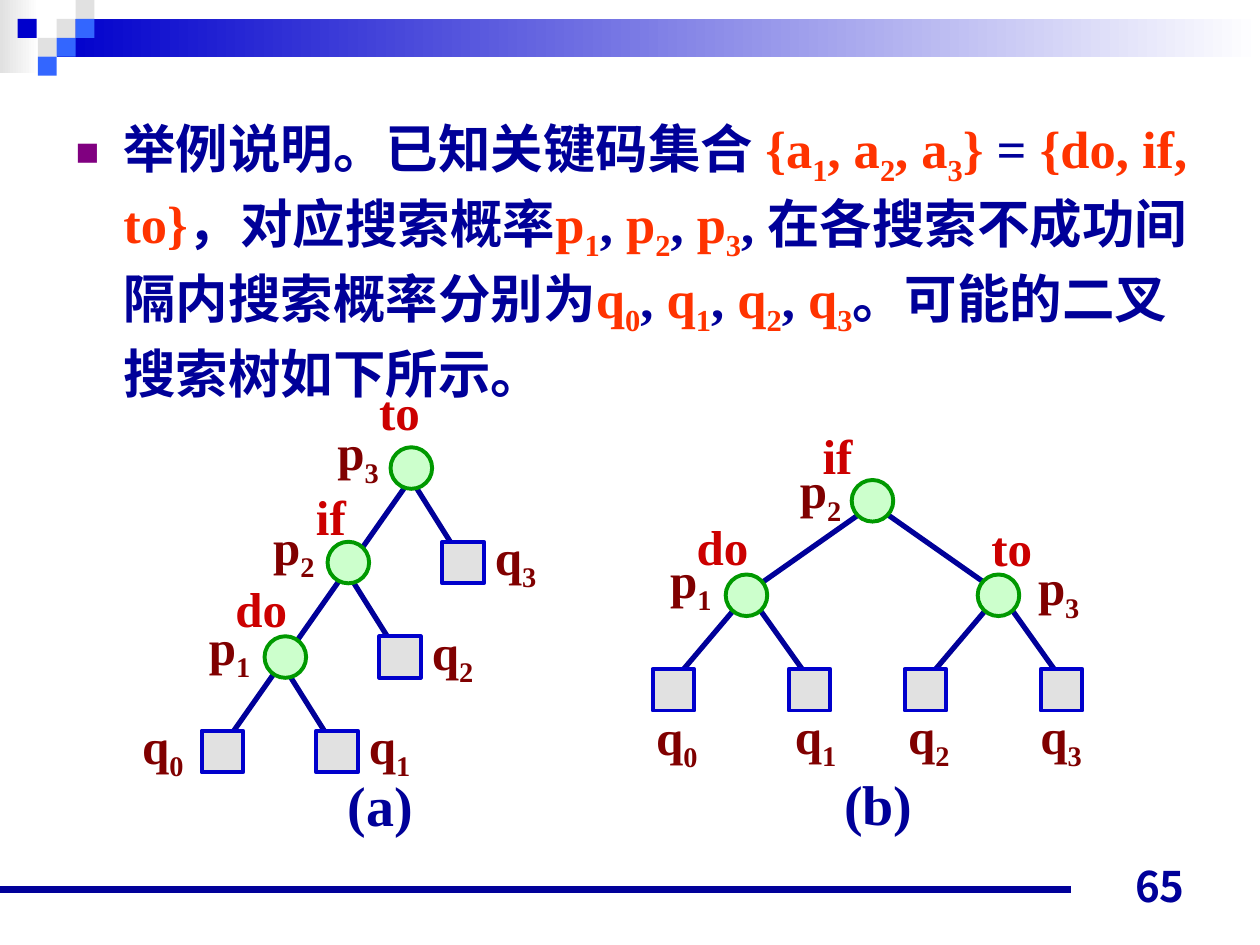
"""Build the slide on binary search trees with unequal search probabilities."""
import dataclasses

import pptx
import pptx.dml.color
import pptx.enum.shapes
import pptx.enum.text
import pptx.oxml
import pptx.oxml.ns
import pptx.util
from pptx.util import Inches

SERIF, SANS = "Times New Roman", "Noto Sans CJK JP"
NAVY, ORANGE, RED, MAROON = "000099", "FF3300", "CC0000", "800000"
BLUE, SKY, GREY, WHITE = "0000CC", "3366FF", "E1E1E1", "FFFFFF"
NODE_SIZE = 0.33
RECT = pptx.enum.shapes.MSO_SHAPE.RECTANGLE
OVAL = pptx.enum.shapes.MSO_SHAPE.OVAL


@dataclasses.dataclass
class Edge:
    x1: float
    y1: float
    x2: float
    y2: float
    width: float = 3


@dataclasses.dataclass
class Block:
    left: float
    top: float
    width: float
    height: float
    fill: str
    fade: bool = False


@dataclasses.dataclass
class Node:
    left: float
    top: float
    internal: bool = False


@dataclasses.dataclass
class Label:
    text: str
    left: float
    top: float
    width: float = 0.53
    height: float = 0.63
    color: str = MAROON
    size: float = 28


def rgb(color: str) -> pptx.dml.color.RGBColor:
    return pptx.dml.color.RGBColor.from_string(color)


def add_xml(parent, markup: str) -> None:
    namespace = pptx.oxml.ns.nsdecls("a")
    parent.append(pptx.oxml.parse_xml(markup.replace("/>", f" {namespace}/>")))


def write(paragraph, text: str, *, size: float, color: str, font: str = SERIF) -> None:
    """Add bold runs; the character after each underscore is a subscript."""
    first, *rest = text.split("_")
    pieces = [(first, False)]
    for part in rest:
        pieces += [(part[0], True), (part[1:], False)]
    for piece, subscript in pieces:
        if not piece:
            continue
        run = paragraph.add_run()
        run.text = piece
        run.font.size = pptx.util.Pt(size)
        run.font.bold = True
        run.font.name = font
        run.font.color.rgb = rgb(color)
        properties = run.font._element
        add_xml(properties, f'<a:ea typeface="{SANS}"/>')
        if subscript:
            properties.set("baseline", "-25000")


def draw_edge(slide, edge: Edge) -> None:
    line = slide.shapes.add_connector(
        pptx.enum.shapes.MSO_CONNECTOR.STRAIGHT,
        Inches(edge.x1), Inches(edge.y1), Inches(edge.x2), Inches(edge.y2))
    line.line.color.rgb = rgb(NAVY)
    line.line.width = pptx.util.Pt(edge.width)
    add_xml(line._element.spPr, "<a:effectLst/>")


def draw_block(slide, block: Block) -> None:
    shape = slide.shapes.add_shape(
        RECT, Inches(block.left), Inches(block.top), Inches(block.width), Inches(block.height))
    shape.shadow.inherit = False
    shape.line.fill.background()
    if block.fade:
        shape.fill.gradient()
        shape.fill.gradient_angle = 180
        for stop, color in zip(shape.fill.gradient_stops, (WHITE, block.fill)):
            stop.color.rgb = rgb(color)
    else:
        shape.fill.solid()
        shape.fill.fore_color.rgb = rgb(block.fill)


def draw_node(slide, node: Node) -> None:
    shape = slide.shapes.add_shape(
        OVAL if node.internal else RECT,
        Inches(node.left), Inches(node.top), Inches(NODE_SIZE), Inches(NODE_SIZE))
    shape.shadow.inherit = False
    shape.fill.solid()
    shape.fill.fore_color.rgb = rgb("CCFFCC" if node.internal else GREY)
    shape.line.color.rgb = rgb("009900" if node.internal else BLUE)
    shape.line.width = pptx.util.Pt(2.25)


def draw_label(slide, label: Label) -> None:
    box = slide.shapes.add_textbox(
        Inches(label.left), Inches(label.top), Inches(label.width), Inches(label.height))
    box.text_frame.word_wrap = False
    box.text_frame.auto_size = pptx.enum.text.MSO_AUTO_SIZE.SHAPE_TO_FIT_TEXT
    write(box.text_frame.paragraphs[0], label.text, size=label.size, color=label.color)


def draw_explanation(slide) -> None:
    body = slide.placeholders[1]
    body.left, body.top = Inches(0.5), Inches(0.84)
    body.width, body.height = Inches(9.08), Inches(2.6)
    body.text_frame.auto_size = pptx.enum.text.MSO_AUTO_SIZE.NONE
    paragraph = body.text_frame.paragraphs[0]
    properties = paragraph._p.get_or_add_pPr()
    properties.set("marL", str(Inches(0.38)))
    properties.set("indent", str(-Inches(0.38)))
    properties.append(pptx.oxml.parse_xml(
        f'<a:buClr {pptx.oxml.ns.nsdecls("a")}><a:srgbClr val="800080"/></a:buClr>'))
    add_xml(properties, '<a:buSzPct val="75000"/>')
    add_xml(properties, '<a:buChar char="■"/>')
    paragraph.line_spacing = 1.05
    paragraph.space_before = pptx.util.Pt(0)
    for text, color in [
        ("举例说明。已知关键码集合 ", NAVY), ("{a_1, a_2, a_3}", ORANGE), (" = ", NAVY),
        ("{do, if, to}", ORANGE), ("，对应搜索概率", NAVY),
        ("p_1", ORANGE), (", ", NAVY), ("p_2", ORANGE), (", ", NAVY), ("p_3", ORANGE),
        (", 在各搜索不成功间隔内搜索概率分别为", NAVY),
        ("q_0", ORANGE), (", ", NAVY), ("q_1", ORANGE), (", ", NAVY),
        ("q_2", ORANGE), (", ", NAVY), ("q_3", ORANGE),
        ("。可能的二叉搜索树如下所示。", NAVY),
    ]:
        write(paragraph, text, size=30, color=color)


def draw_page_number(slide) -> None:
    box = slide.shapes.add_textbox(Inches(7.17), Inches(6.78), Inches(2.33), Inches(0.5))
    box.text_frame.word_wrap = True
    box.text_frame.vertical_anchor = pptx.enum.text.MSO_ANCHOR.BOTTOM
    paragraph = box.text_frame.paragraphs[0]
    paragraph.alignment = pptx.enum.text.PP_ALIGN.RIGHT
    write(paragraph, "65", size=24, color=NAVY, font=SANS)


def main() -> None:
    deck = pptx.Presentation()
    deck.slide_width, deck.slide_height = Inches(10), Inches(7.5)
    slide = deck.slides.add_slide(deck.slide_layouts[1])
    title = slide.shapes.title._element
    title.getparent().remove(title)

    mosaic = [(0.45, 0.15, GREY), (0.6, 0, GREY), (0.6, 0.15, SKY), (0.3, 0.3, GREY),
              (0.14, 0.15, BLUE), (0.45, 0.3, SKY), (0.3, 0.45, SKY)]
    banner = [Block(0, 0, 0.31, 0.58, GREY, fade=True),
              Block(0.45, 0.15, 9.55, 0.3, BLUE, fade=True)]
    banner += [Block(left, top, 0.15, 0.15, fill) for left, top, fill in mosaic]

    edges = [Edge(0, 7.06, 8.5, 7.06, width=4.5), Edge(3.26, 3.8, 1.68, 6.05),
             Edge(7.01, 4.06, 7.85, 4.65), Edge(6.85, 4.06, 6.01, 4.65)]
    nodes = [Node(1.6, 5.8), Node(6.76, 3.81, internal=True)]
    for level in range(3):
        x, y = 3.1 - 0.5 * level, 3.55 + 0.75 * level
        edges.append(Edge(x + 0.16, y + 0.25, x + 0.58, y + 0.92))
        nodes += [Node(x, y, internal=True), Node(x + 0.41, y + 0.75)]
    for x in (5.76, 7.76):
        edges += [Edge(x + 0.09, 4.81, x - 0.41, 5.4), Edge(x + 0.25, 4.81, x + 0.67, 5.4)]
        nodes += [Node(x, 4.56, internal=True), Node(x - 0.58, 5.31), Node(x + 0.5, 5.31)]

    key_widths = {"do": 0.61, "if": 0.44, "to": 0.52}
    keys = [("do", 1.77, 4.54), ("if", 2.41, 3.81), ("to", 2.91, 2.98),
            ("do", 5.43, 4.05), ("if", 6.43, 3.33), ("to", 7.77, 4.06)]
    labels = [Label(key, x, y, key_widths[key], 0.57, RED) for key, x, y in keys]
    labels += [Label(*probability) for probability in [
        ("q_0", 1.03, 5.63), ("q_1", 2.83, 5.63), ("q_2", 3.33, 4.88), ("q_3", 3.83, 4.13),
        ("p_1", 1.56, 4.84), ("p_2", 2.07, 4.05), ("p_3", 2.58, 3.3),
        ("q_0", 5.11, 5.56), ("q_1", 6.21, 5.55), ("q_2", 7.11, 5.55), ("q_3", 8.16, 5.55),
        ("p_1", 5.22, 4.31), ("p_2", 6.25, 3.6), ("p_3", 8.14, 4.37)]]
    labels += [Label("(a)", 2.66, 6.07, 0.74, 0.64, NAVY, 32),
               Label("(b)", 6.6, 6.06, 0.78, 0.64, NAVY, 32)]

    draw_explanation(slide)
    for draw, parts in [(draw_block, banner), (draw_edge, edges),
                        (draw_node, nodes), (draw_label, labels)]:
        for part in parts:
            draw(slide, part)
    draw_page_number(slide)
    deck.save("out.pptx")


if __name__ == "__main__":
    main()
